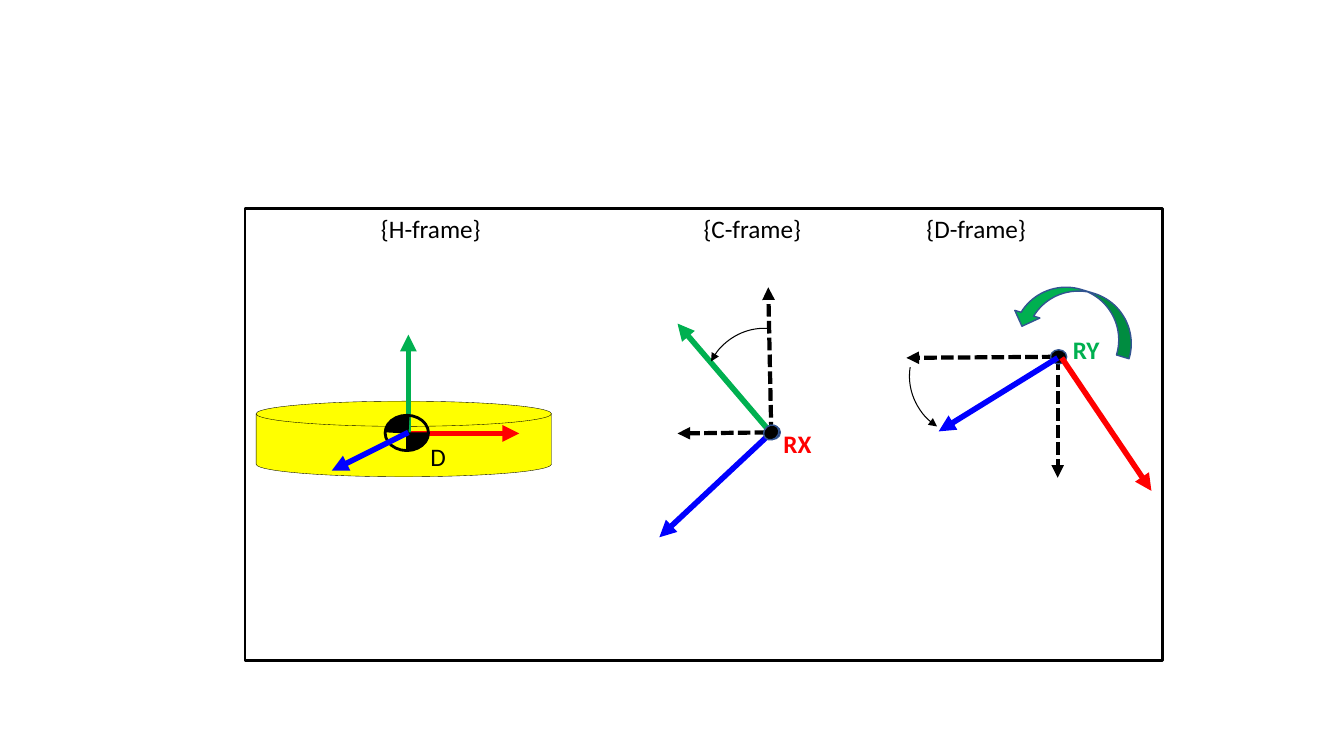
import lxml.etree
import pptx
import pptx.dml.color
import pptx.enum.dml
import pptx.enum.shapes
import pptx.enum.text
import pptx.oxml.ns
import pptx.util

Inches = pptx.util.Inches
RGBColor = pptx.dml.color.RGBColor
Shape = pptx.enum.shapes.MSO_SHAPE

BLACK = RGBColor(0x00, 0x00, 0x00)
RED = RGBColor(0xFF, 0x00, 0x00)
GREEN = RGBColor(0x00, 0xB0, 0x50)
BLUE = RGBColor(0x00, 0x00, 0xFF)
YELLOW = RGBColor(0xFF, 0xFF, 0x00)
OUTLINE = RGBColor(0x32, 0x54, 0x91)


class FrameDiagram:
    """Draws coordinate frames on one slide in a shared style."""

    font = "Calibri"
    size = pptx.util.Pt(18)

    def __init__(self, slide):
        self.shapes = slide.shapes

    def arrowhead(self, element, end):
        ln = element.spPr.find(pptx.oxml.ns.qn("a:ln"))
        lxml.etree.SubElement(ln, pptx.oxml.ns.qn(f"a:{end}"), type="triangle")

    def shape(self, kind, left, top, width, height, fill=None, line=BLACK,
              weight=1, rotation=0, adjustments=()):
        figure = self.shapes.add_shape(
            kind, Inches(left), Inches(top), Inches(width), Inches(height))
        figure.shadow.inherit = False
        figure.rotation = rotation
        for index, value in enumerate(adjustments):
            figure.adjustments[index] = value
        if fill is None:
            figure.fill.background()
        else:
            figure.fill.solid()
            figure.fill.fore_color.rgb = fill
        figure.line.color.rgb = line
        figure.line.width = pptx.util.Pt(weight)
        return figure

    def axis(self, start, end, color):
        arrow = self.shapes.add_connector(
            pptx.enum.shapes.MSO_CONNECTOR.STRAIGHT,
            *(Inches(value) for value in (*start, *end)))
        arrow.line.color.rgb = color
        arrow.line.width = pptx.util.Pt(4)
        self.arrowhead(arrow.element, "tailEnd")
        lxml.etree.SubElement(arrow.element.spPr, pptx.oxml.ns.qn("a:effectLst"))
        return arrow

    def old_axis(self, start, end):
        arrow = self.axis(start, end, BLACK)
        arrow.line.width = pptx.util.Pt(3)
        arrow.line.dash_style = pptx.enum.dml.MSO_LINE.SQUARE_DOT

    def origin(self, left, top, rotation=0):
        self.shape(Shape.OVAL, left, top, 0.16, 0.14, fill=BLACK,
                   line=OUTLINE, rotation=rotation)

    def turn(self, left, top, rotation):
        arc = self.shape(Shape.ARC, left, top, 1.14, 1.08, weight=0.75,
                         rotation=rotation, adjustments=(146.63, 189.77))
        self.arrowhead(arc.element, "headEnd")

    def text(self, text, left, top, width, height, color=BLACK, bold=False,
             inset=True):
        box = self.shapes.add_textbox(
            Inches(left), Inches(top), Inches(width), Inches(height))
        frame = box.text_frame
        frame.word_wrap = False
        frame.auto_size = pptx.enum.text.MSO_AUTO_SIZE.SHAPE_TO_FIT_TEXT
        if not inset:
            frame.margin_left = frame.margin_right = 0
            frame.margin_top = frame.margin_bottom = 0
        run = frame.paragraphs[0].add_run()
        run.text = text
        run.font.name = self.font
        run.font.size = self.size
        run.font.bold = bold
        run.font.color.rgb = color


def draw_h_frame(diagram):
    diagram.shape(Shape.FLOWCHART_MAGNETIC_DISK, 2.54, 3.98, 2.93, 0.75,
                  fill=YELLOW, weight=0.25)
    diagram.axis((4.05, 4.3), (5.15, 4.3), RED)
    diagram.axis((4.05, 4.3), (4.05, 3.32), GREEN)
    for left, rotation in ((3.83, 3.3), (3.82, 180)):
        diagram.shape(Shape.PIE, left, 4.12, 0.43, 0.35, fill=BLACK,
                      rotation=rotation, adjustments=(108, 162))
    diagram.shape(Shape.OVAL, 3.82, 4.12, 0.43, 0.35, weight=2)
    diagram.axis((4.05, 4.29), (3.29, 4.67), BLUE)
    diagram.text("D", 4.17, 4.33, 0.36, 0.4)


def draw_c_frame(diagram):
    diagram.old_axis((7.61, 4.29), (6.72, 4.3))
    diagram.old_axis((7.65, 4.31), (7.62, 2.85))
    diagram.origin(7.58, 4.22)
    diagram.axis((7.62, 4.32), (6.54, 5.33), BLUE)
    diagram.axis((7.66, 4.31), (6.72, 3.21), GREEN)
    diagram.origin(7.57, 4.22, rotation=320.1)
    diagram.turn(6.98, 3.27, rotation=319.8)
    diagram.text("RX", 7.77, 4.25, 0.28, 0.3, color=RED, bold=True, inset=False)


def draw_d_frame(diagram):
    diagram.old_axis((10.46, 3.54), (8.99, 3.55))
    diagram.old_axis((10.49, 3.55), (10.49, 4.74))
    diagram.origin(10.42, 3.47)
    diagram.axis((10.49, 3.55), (9.31, 4.28), BLUE)
    diagram.axis((10.53, 3.55), (11.42, 4.87), RED)
    diagram.turn(9, 3.22, rotation=236)
    diagram.text("RY", 10.64, 3.32, 0.27, 0.3, color=GREEN, bold=True, inset=False)
    diagram.shape(Shape.CURVED_UP_ARROW, 10.06, 2.87, 1.24, 0.52, fill=GREEN,
                  line=OUTLINE, rotation=196.9)


def main():
    deck = pptx.Presentation()
    deck.slide_width = Inches(13.33)
    deck.slide_height = Inches(7.5)
    diagram = FrameDiagram(deck.slides.add_slide(deck.slide_layouts[6]))
    draw_h_frame(diagram)
    draw_c_frame(diagram)
    draw_d_frame(diagram)
    for name, left in (("H", 3.68), ("C", 6.88), ("D", 9.09)):
        diagram.text(f"{{{name}-frame}}", left, 2.07, 1.2, 0.4)
    diagram.shape(Shape.RECTANGLE, 2.43, 2.07, 9.1, 4.48, weight=2)
    deck.save("out.pptx")


if __name__ == "__main__":
    main()
